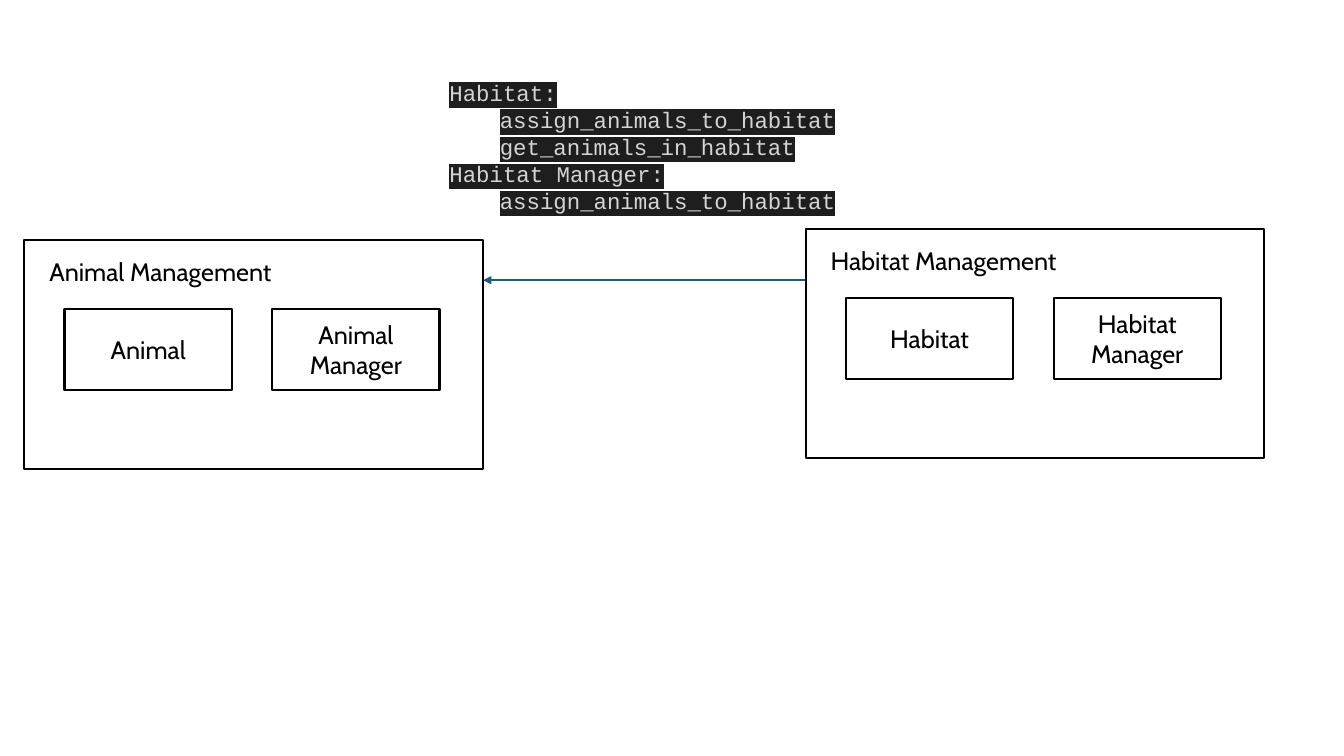
from dataclasses import dataclass

from lxml.etree import SubElement
from pptx import Presentation
from pptx.dml.color import RGBColor
from pptx.enum.shapes import MSO_CONNECTOR as Connector, MSO_SHAPE as Preset
from pptx.enum.text import MSO_ANCHOR as Anchor, MSO_AUTO_SIZE as AutoSize, PP_ALIGN as Align
from pptx.oxml.ns import qn
from pptx.util import Inches, Pt

# Content: modules with their top left corner, label width and classes
MODULES = [
    {"title": "Animal Management", "corner": (0.24, 2.38), "label_width": 2.45,
     "classes": ["Animal", "Animal Manager"]},
    {"title": "Habitat Management", "corner": (7.99, 2.27), "label_width": 2.5,
     "classes": ["Habitat", "Habitat Manager"]},
]
CALLS = [
    ("Habitat:", ["assign_animals_to_habitat", "get_animals_in_habitat"]),
    ("Habitat Manager:", ["assign_animals_to_habitat"]),
]

# Layout in inches; offsets count from a module's corner
SLIDE_SIZE = (13.33, 7.5)
MODULE_SIZE = (4.55, 2.27)
LABEL_OFFSET, LABEL_HEIGHT = (0.15, 0.11), 0.4
CLASS_OFFSET, CLASS_SIZE, CLASS_PITCH = (0.4, 0.69), (1.66, 0.8), 2.06
CALLS_BOX = (4.36, 0.73, 6.67, 1.45)
ARROW_Y = 2.78


@dataclass(frozen=True)
class Theme:
    ink: str = "000000"
    arrow: str = "156082"
    code_ink: str = "D4D4D4"
    code_back: str = "1E1E1E"
    line: float = 1.5
    code_leading: float = 19.3


THEME = Theme()
BODY = {"name": "Cabin", "size": Pt(18)}
CODE = {"name": "Courier New", "size": Pt(16)}


def apply(target, values):
    for name, value in values.items():
        setattr(target, name, value)


def write(paragraph, text, font, color):
    run = paragraph.add_run()
    run.text = text
    run.font.color.rgb = RGBColor.from_string(color)
    apply(run.font, font)
    return run


def stroke(shape, color):
    shape.line.color.rgb = RGBColor.from_string(color)
    shape.line.width = Pt(THEME.line)


def add_box(shapes, left, top, size):
    box = shapes.add_shape(Preset.RECTANGLE, *map(Inches, (left, top, *size)))
    box.shadow.inherit = False
    box.fill.background()
    stroke(box, THEME.ink)
    return box


def add_module(slide, module):
    shapes = slide.shapes.add_group_shape().shapes
    left, top = module["corner"]
    add_box(shapes, left, top, MODULE_SIZE)

    label = shapes.add_textbox(Inches(left + LABEL_OFFSET[0]), Inches(top + LABEL_OFFSET[1]),
                               Inches(module["label_width"]), Inches(LABEL_HEIGHT))
    apply(label.text_frame, {"word_wrap": False, "auto_size": AutoSize.SHAPE_TO_FIT_TEXT})
    write(label.text_frame.paragraphs[0], module["title"], BODY, THEME.ink)

    for column, name in enumerate(module["classes"]):
        box = add_box(shapes, left + CLASS_OFFSET[0] + column * CLASS_PITCH,
                      top + CLASS_OFFSET[1], CLASS_SIZE)
        apply(box.text_frame, {"word_wrap": True, "vertical_anchor": Anchor.MIDDLE})
        paragraph = box.text_frame.paragraphs[0]
        paragraph.alignment = Align.CENTER
        write(paragraph, name, BODY, THEME.ink)


def add_arrow(slide):
    target, source = (module["corner"][0] for module in MODULES)
    arrow = slide.shapes.add_connector(Connector.STRAIGHT, *map(
        Inches, (source, ARROW_Y, target + MODULE_SIZE[0], ARROW_Y)))
    stroke(arrow, THEME.arrow)
    SubElement(arrow.line._get_or_add_ln(), qn("a:tailEnd"), type="triangle")
    SubElement(arrow._element.spPr, qn("a:effectLst"))


def add_calls(slide):
    frame = slide.shapes.add_textbox(*map(Inches, CALLS_BOX)).text_frame
    apply(frame, {"word_wrap": True, "auto_size": AutoSize.SHAPE_TO_FIT_TEXT})
    lines = [line for owner, methods in CALLS
             for line in (owner, *(f"\t{method}" for method in methods))]
    for index, line in enumerate(lines):
        paragraph = frame.add_paragraph() if index else frame.paragraphs[0]
        paragraph.line_spacing = Pt(THEME.code_leading)
        run = write(paragraph, line, CODE, THEME.code_ink)
        # The highlight belongs right after the text fill
        properties = run.font._element
        highlight = SubElement(properties, qn("a:highlight"))
        SubElement(highlight, qn("a:srgbClr"), val=THEME.code_back)
        properties.find(qn("a:solidFill")).addnext(highlight)


def main():
    presentation = Presentation()
    presentation.slide_width, presentation.slide_height = map(Inches, SLIDE_SIZE)
    slide = presentation.slides.add_slide(presentation.slide_layouts[6])
    add_arrow(slide)
    for module in MODULES:
        add_module(slide, module)
    add_calls(slide)
    presentation.save("out.pptx")


if __name__ == "__main__":
    main()
